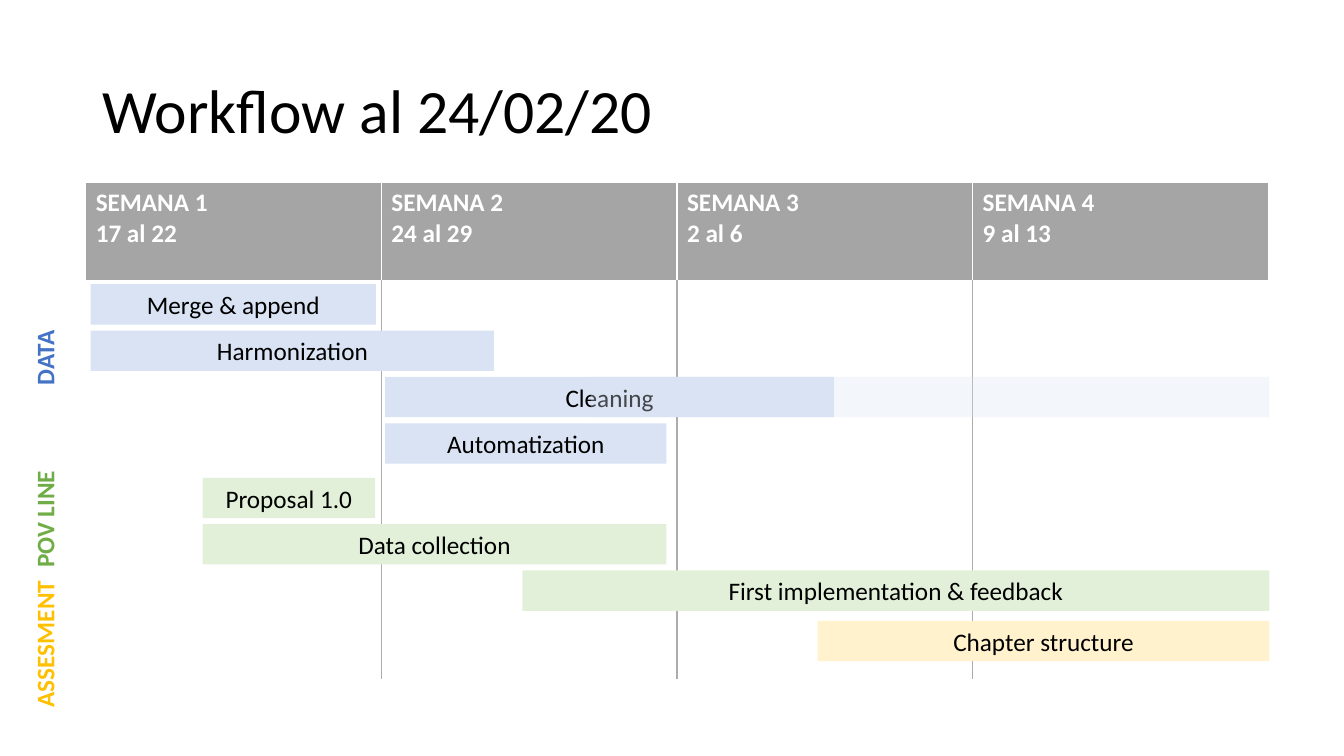
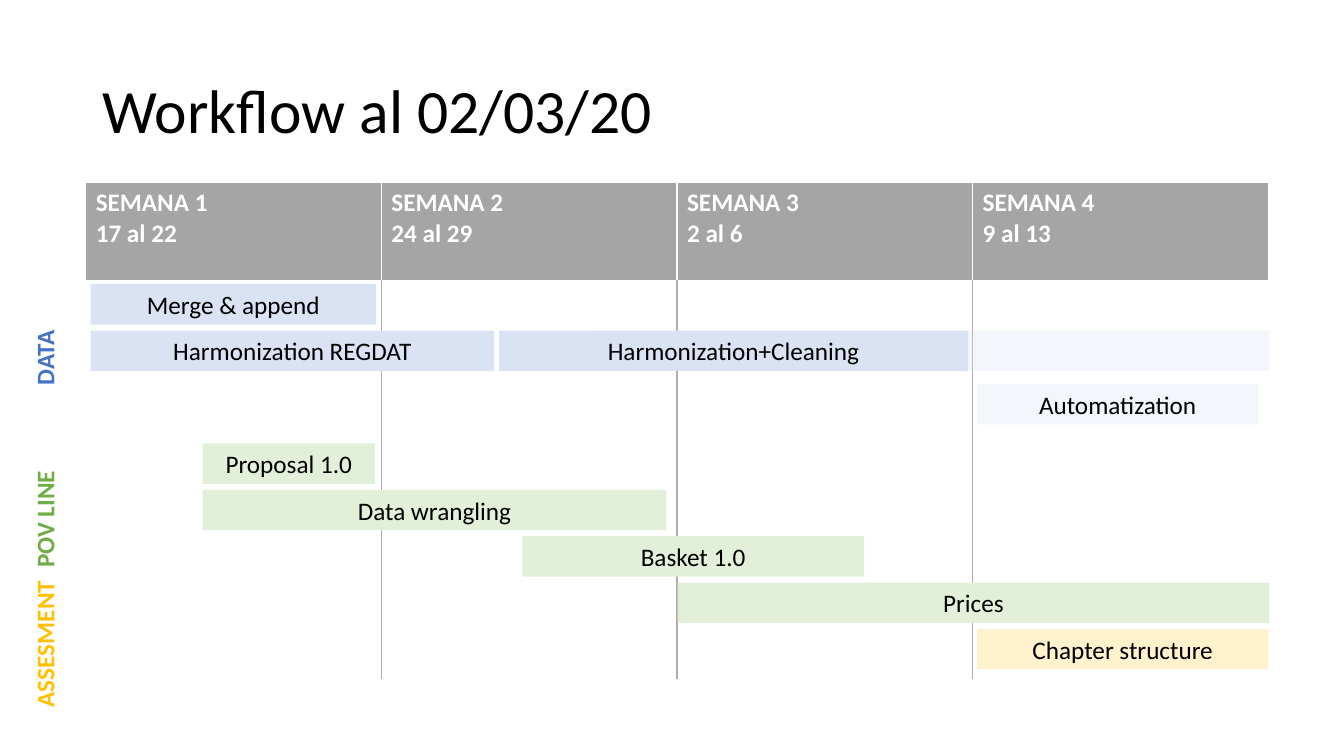
from dataclasses import dataclass

from lxml import etree
from pptx import Presentation
from pptx.dml.color import RGBColor
from pptx.enum.shapes import MSO_SHAPE
from pptx.enum.text import MSO_ANCHOR, MSO_AUTO_SIZE, PP_ALIGN
from pptx.oxml.ns import qn
from pptx.util import Inches, Pt

RECTANGLE = MSO_SHAPE.RECTANGLE
MIDDLE = MSO_ANCHOR.MIDDLE
GROW = MSO_AUTO_SIZE.SHAPE_TO_FIT_TEXT
CENTER = PP_ALIGN.CENTER

FONT = "Calibri"
BLACK, WHITE = "000000", "FFFFFF"
HEADER_GRAY, RULE_GRAY = "A5A5A5", "AFABAB"
DATA_FILL, POVERTY_FILL, ASSESSMENT_FILL = "DAE3F3", "E2F0D9", "FFF2CC"
PLANNED_ALPHA = 31
BAR_HEIGHT = 0.4
ROW_PITCH = 0.46
TABLE_LEFT, TABLE_TOP, TABLE_WIDTH = 0.85, 1.81, 11.73
HEADER_HEIGHT, BODY_HEIGHT = 0.99, 3.93
WEEKS = [
    ("SEMANA 1", "17 al 22"),
    ("SEMANA 2", "24 al 29"),
    ("SEMANA 3", "2 al 6"),
    ("SEMANA 4", "9 al 13"),
]


@dataclass(frozen=True)
class Task:
    text: str
    row: int
    left: float
    width: float
    planned: bool = False


@dataclass(frozen=True)
class Track:
    color: str
    top: float
    tasks: list[Task]


@dataclass(frozen=True)
class TrackLabel:
    text: str
    color: str
    top: float


@dataclass(frozen=True)
class Workflow:
    title: str
    tracks: list[Track]


LABELS = [
    TrackLabel("DATA", "4472C4", 3.35),
    TrackLabel("POV LINE", "70AD47", 4.95),
    TrackLabel("ASSESMENT", "FFC000", 6.19),
]

WORKFLOWS = [
    Workflow("Workflow al 24/02/20", [
        Track(DATA_FILL, 2.82, [
            Task("Merge & append", 0, 0.9, 2.83),
            Task("Harmonization", 1, 0.9, 4),
            Task("Cleaning", 2, 3.82, 4.45),
            Task("Automatization", 3, 3.82, 2.79),
            Task("", 2, 5.86, 6.73, planned=True),
        ]),
        Track(POVERTY_FILL, 4.74, [
            Task("Proposal 1.0", 0, 2.01, 1.71),
            Task("Data collection", 1, 2.01, 4.6),
            Task("First implementation & feedback", 2, 5.18, 7.41),
        ]),
        Track(ASSESSMENT_FILL, 6.16, [
            Task("Chapter structure", 0, 8.11, 4.48),
        ]),
    ]),
    Workflow("Workflow al 02/03/20", [
        Track(DATA_FILL, 2.82, [
            Task("Merge & append", 0, 0.9, 2.83),
            Task("Harmonization REGDAT", 1, 0.9, 4),
            Task("", 1, 5.86, 6.73, planned=True),
            Task("Harmonization+Cleaning", 1, 4.95, 4.65),
        ]),
        Track(DATA_FILL, 3.81, [
            Task("Automatization", 0, 9.69, 2.79, planned=True),
        ]),
        Track(POVERTY_FILL, 4.4, [
            Task("Proposal 1.0", 0, 2.01, 1.71),
            Task("Data wrangling", 1, 2.01, 4.6),
            Task("Basket 1.0", 2, 5.18, 3.39),
            Task("Prices", 3, 6.72, 5.87),
        ]),
        Track(ASSESSMENT_FILL, 6.24, [
            Task("Chapter structure", 0, 9.69, 2.89),
        ]),
    ]),
]


def rgb(color: str) -> RGBColor:
    return RGBColor.from_string(color)


def style_paragraph(para, size: float, color: str, bold: bool = False) -> None:
    para.font.name = FONT
    para.font.size = Pt(size)
    para.font.bold = bold
    para.font.color.rgb = rgb(color)


def write_centered(frame, text: str, color: str, bold: bool = False) -> None:
    frame.word_wrap = True
    frame.auto_size = GROW
    para = frame.paragraphs[0]
    para.text = text
    para.alignment = CENTER
    style_paragraph(para, 18, color, bold)


def add_title(page, text: str) -> None:
    box = page.shapes.add_textbox(Inches(0.92), Inches(0.4), Inches(11.5), Inches(1.45))
    frame = box.text_frame
    frame.word_wrap = True
    frame.vertical_anchor = MIDDLE
    para = frame.paragraphs[0]
    para.text = text
    para.line_spacing = 0.9
    style_paragraph(para, 44, BLACK)


def set_border(cell, side: str, color: str, width: float) -> None:
    properties = cell._tc.get_or_add_tcPr()
    line = etree.SubElement(properties, qn(f"a:ln{side}"), w=str(Pt(width)))
    fill = etree.SubElement(line, qn("a:solidFill"))
    etree.SubElement(fill, qn("a:srgbClr"), val=color)


def add_calendar(page) -> None:
    table = page.shapes.add_table(
        2, len(WEEKS), Inches(TABLE_LEFT), Inches(TABLE_TOP),
        Inches(TABLE_WIDTH), Inches(HEADER_HEIGHT + BODY_HEIGHT),
    ).table
    table.first_row = False
    table.horz_banding = False
    table.rows[0].height = Inches(HEADER_HEIGHT)
    table.rows[1].height = Inches(BODY_HEIGHT)
    last = len(WEEKS) - 1
    for index, week in enumerate(WEEKS):
        table.columns[index].width = Inches(TABLE_WIDTH / len(WEEKS))
        header, body = table.cell(0, index), table.cell(1, index)
        for side in "LRTB":
            set_border(header, side, WHITE, 3 if side == "B" else 1)
            inner = (side == "L" and index > 0) or (side == "R" and index < last)
            set_border(body, side, RULE_GRAY if inner else WHITE, 1)
        header.fill.solid()
        header.fill.fore_color.rgb = rgb(HEADER_GRAY)
        body.fill.background()
        header.text = "\n".join(week)
        for para in header.text_frame.paragraphs:
            style_paragraph(para, 18, WHITE, bold=True)


def add_task(page, track: Track, task: Task) -> None:
    bar = page.shapes.add_shape(
        RECTANGLE, Inches(task.left), Inches(track.top + task.row * ROW_PITCH),
        Inches(task.width), Inches(BAR_HEIGHT),
    )
    bar.shadow.inherit = False
    bar.line.fill.background()
    bar.fill.solid()
    bar.fill.fore_color.rgb = rgb(track.color)
    if task.planned:
        color = bar._element.spPr.find(qn("a:solidFill")).find(qn("a:srgbClr"))
        etree.SubElement(color, qn("a:alpha"), val=str(PLANNED_ALPHA * 1000))
    if task.text:
        write_centered(bar.text_frame, task.text, BLACK)


def add_label(page, label: TrackLabel) -> None:
    box = page.shapes.add_textbox(
        Inches(-0.4), Inches(label.top), Inches(1.68), Inches(BAR_HEIGHT)
    )
    box.rotation = 270
    write_centered(box.text_frame, label.text, label.color, bold=True)


def add_workflow(deck, workflow: Workflow) -> None:
    page = deck.slides.add_slide(deck.slide_layouts[6])
    add_title(page, workflow.title)
    add_calendar(page)
    for track in workflow.tracks:
        for task in track.tasks:
            add_task(page, track, task)
    for label in LABELS:
        add_label(page, label)


def main() -> None:
    deck = Presentation()
    deck.slide_width = Inches(13.33)
    deck.slide_height = Inches(7.5)
    for workflow in WORKFLOWS:
        add_workflow(deck, workflow)
    deck.save("out.pptx")


main()
